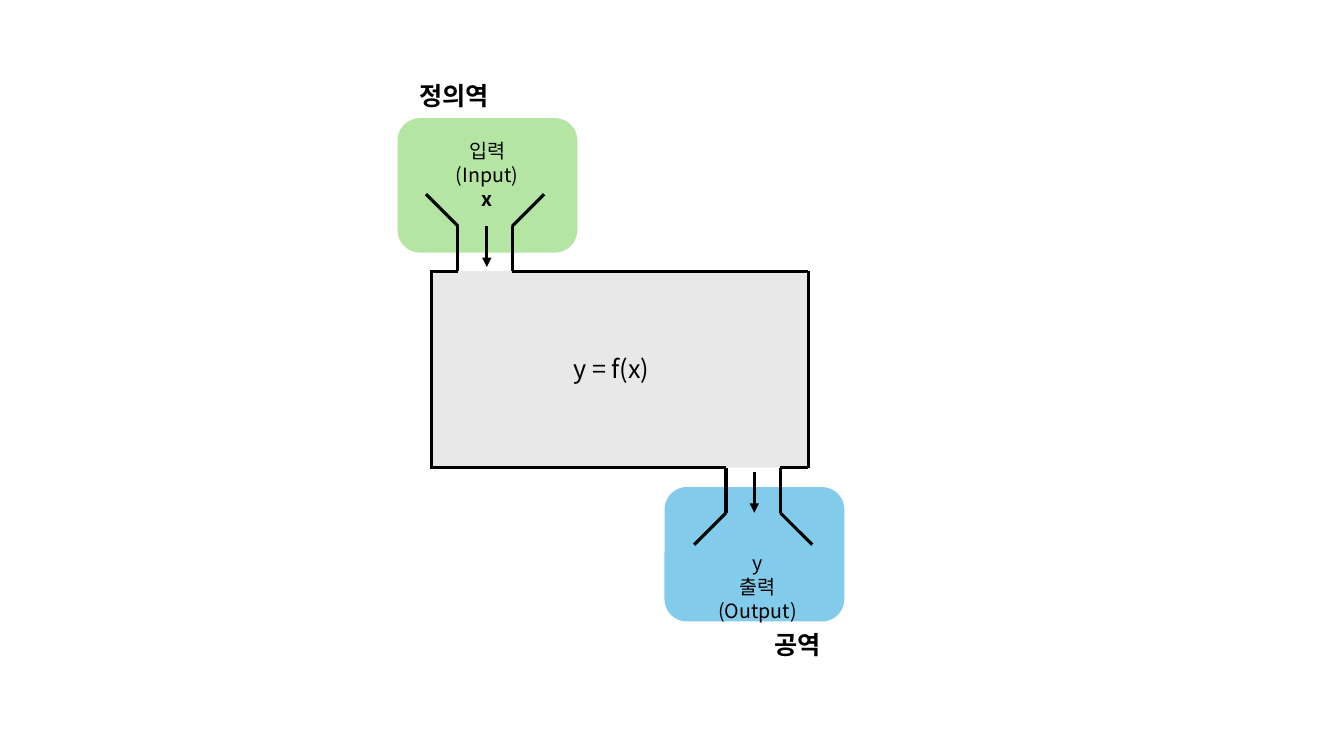
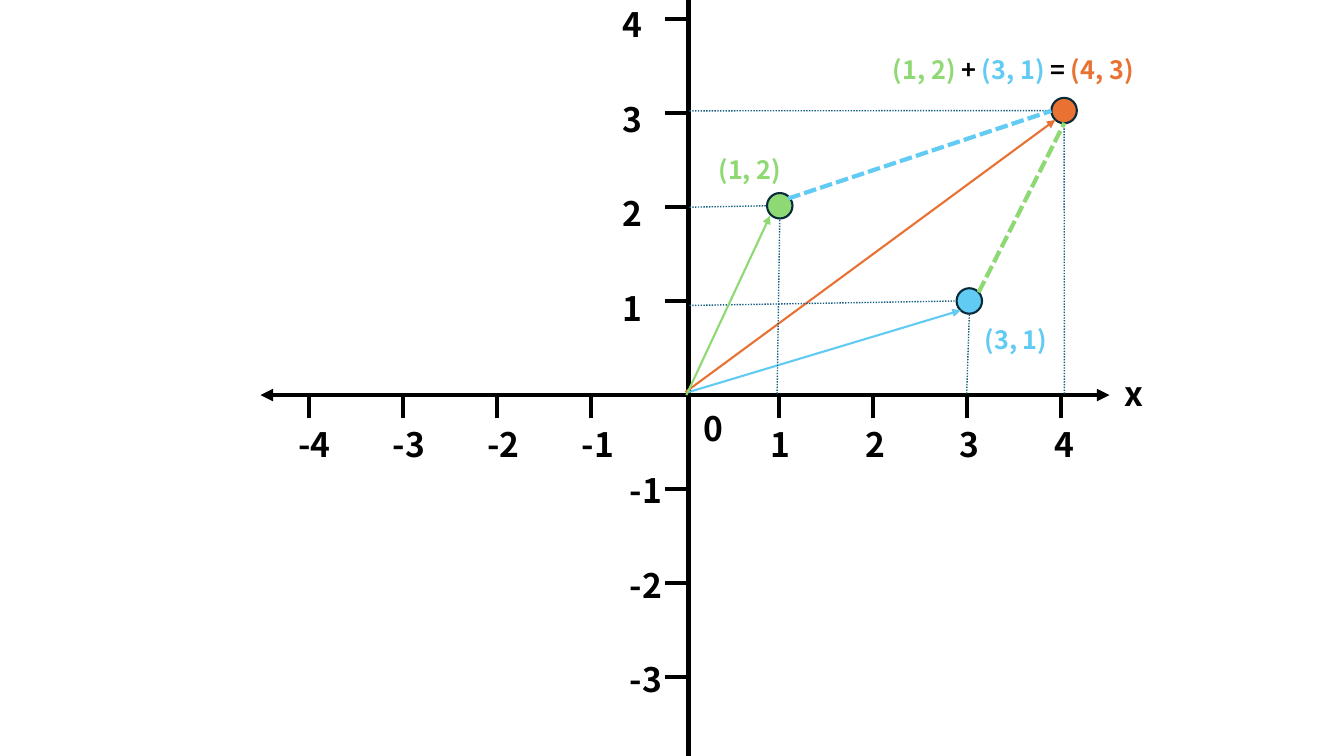
from pptx import Presentation
from pptx.dml.color import RGBColor
from pptx.enum.dml import MSO_LINE
from pptx.enum.shapes import MSO_CONNECTOR, MSO_SHAPE
from pptx.enum.text import MSO_AUTO_SIZE, PP_ALIGN
from pptx.oxml.ns import qn
from pptx.util import Pt
from lxml import etree

LEFT, MID = PP_ALIGN.LEFT, PP_ALIGN.CENTER
RECT, ROUND, OVAL = MSO_SHAPE.RECTANGLE, MSO_SHAPE.ROUNDED_RECTANGLE, MSO_SHAPE.OVAL
DOT, DASH = MSO_LINE.ROUND_DOT, MSO_LINE.SQUARE_DOT
STRAIGHT = MSO_CONNECTOR.STRAIGHT

FONT = "Noto Sans CJK KR"
LEAD = 1.22  # line height per point of text size
INK = {
    "black": "000000", "gray": "E8E8E8", "mint": "B4E5A2", "sky": "83CBEB",
    "green": "8ED973", "blue": "61CBF4", "orange": "E97132",
    "rim": "092A39", "guide": "156082",
}
WIDE, HIGH = 960, 540


def tint(name):
    return RGBColor.from_string(INK[name])


def line(slide, start, end, color="black", width=2.25, dash=None, arrow=False):
    item = slide.shapes.add_connector(STRAIGHT, *map(Pt, start + end))
    item.line.color.rgb = tint(color)
    item.line.width = Pt(width)
    if dash is not None:
        item.line.dash_style = dash
    props = item._element.spPr
    if arrow:
        etree.SubElement(props.find(qn("a:ln")), qn("a:tailEnd"), type="triangle")
    etree.SubElement(props, qn("a:effectLst"))


def shape(slide, kind, box, fill, rim=None):
    item = slide.shapes.add_shape(kind, *map(Pt, box))
    item.shadow.inherit = False
    item.fill.solid()
    item.fill.fore_color.rgb = tint(fill)
    if rim:
        item.line.color.rgb = tint(rim)
        item.line.width = Pt(1.5)
    else:
        item.line.fill.background()


def text(slide, box, runs, size, align=LEFT, inset=None):
    """Each run is (text, colour, bold); an inset turns wrapping on."""
    item = slide.shapes.add_textbox(*map(Pt, box))
    frame = item.text_frame
    frame.word_wrap = inset is not None
    frame.auto_size = MSO_AUTO_SIZE.SHAPE_TO_FIT_TEXT
    if inset is not None:
        frame.margin_left = frame.margin_right = Pt(inset)
    para = frame.paragraphs[0]
    para.alignment = align
    para.line_spacing = Pt(round(size * LEAD, 1))
    for words, color, bold in runs:
        for i, part in enumerate(words.split("\n")):
            if i:
                para.add_line_break()
            if not part:
                continue
            run = para.add_run()
            run.text = part
            run.font.size = Pt(size)
            run.font.bold = bold
            run.font.name = FONT
            run.font.color.rgb = tint(color)
            etree.SubElement(run.font._element, qn("a:ea"), typeface=FONT)


# Function machine
NECK, DEPTH, FLARE = 19.4, 32.2, 22.8


def funnel(slide, x, y, way):
    """Open a spout at x on the edge y; way is -1 for up and 1 for down."""
    lip = y + way * DEPTH
    for side in (-1, 1):
        neck = x + side * NECK
        line(slide, (neck, y), (neck, lip))
        line(slide, (neck, lip), (neck + side * FLARE, lip + way * FLARE))


def machine(slide, box):
    x, y, w, h = box
    end, base = x + w, y + h
    gate, exit = x + 39.5, x + 231
    shape(slide, ROUND, (x + 167.7, base + 13.8, 128.4, 96), "sky")
    shape(slide, RECT, box, "gray")
    shape(slide, ROUND, (x - 23, y - 109.3, 128.4, 96), "mint")
    # Walls with a gap at each spout
    for side in (x + 1.2, end):
        line(slide, (side, y), (side, base))
    for hole, edge, way in ((gate, y, -1), (exit, base, 1)):
        line(slide, (x, edge), (hole - NECK, edge))
        line(slide, (hole + NECK, edge), (end, edge))
        funnel(slide, hole, edge, way)
    # Flow arrows
    line(slide, (gate + 1.2, y - DEPTH), (gate + 1.2, y - 3), arrow=True)
    line(slide, (exit + 0.8, base + 3), (exit + 0.8, base + DEPTH), arrow=True)
    # Labels
    text(slide, (x - 1.5, y - 98, 85, 41),
         [("입력(Input)\n", "black", False), ("x", "black", True)], 14, MID, 14)
    text(slide, (x + 185.5, base + 55.4, 97.2, 41),
         [("y\n출력(Output)", "black", False)], 14, MID, 14)
    text(slide, (x + 95.5, y + 54.7, 74.2, 28.8), [("y = f(x)", "black", False)], 18)
    text(slide, (x - 14.7, y - 140.4, 69.1, 28.8), [("정의역", "black", True)], 18)
    text(slide, (x + 238.8, base + 111.6, 51.1, 28.8), [("공역", "black", True)], 18)


# Coordinate plane
STEP, GAP, TICK = 67.1, 67.5, 16.6


def label(slide, x, y, words):
    text(slide, (x, y, 28.8 if len(words) == 1 else 38.9, 36),
         [(words, "black", True)], 24)


def axes(slide, x, y):
    """Draw both axes around the origin at (x, y)."""
    stem = x + 2.5
    for reach in (303.2, -303.2):
        line(slide, (x, y), (x + reach, y), width=3, arrow=True)
    line(slide, (stem, 0), (stem, HIGH), width=3)
    label(slide, x + 307, y - 20.2, "x")
    label(slide, x + 6, y + 5, "0")
    for n in (-4, -3, -2, -1, 1, 2, 3, 4):
        spot = x + n * STEP
        line(slide, (spot, y + TICK), (spot, y), width=3)
        label(slide, x - 13.3 + n * GAP, y + TICK, str(n))
        if n == -4:  # below the slide
            continue
        spot = y - n * STEP
        line(slide, (stem - TICK, spot), (stem, spot), width=3)
        left, top = (-51.5, -13.2) if n > 0 else (-46.5, -17.8)
        label(slide, x + left, y + top - n * GAP, str(n))


def vectors(slide, x, y):
    """Draw the sum of two vectors from the origin at (x, y)."""
    # Point, colour, guide feet on the axes, arrow start and tip
    rows = [
        (4, 3, "orange", (271, -203), (0.3, -2.1), (264.5, -196.5)),
        (3, 1, "blue", (201.2, -64), (2.5, -2.1), (196.9, -60.5)),
        (1, 2, "green", (65.8, -134.2), (1, 0), (60.8, -128.1)),
    ]
    rad = 9.1
    for a, b, color, foot, start, tip in rows:
        cx, cy = x + 67.7 * a, y + 0.8 - 68 * b
        line(slide, (x + 3.2, y + foot[1]), (cx - rad, cy), "guide", 1, DOT)
        line(slide, (x + foot[0], y - 1), (cx, cy + rad), "guide", 1, DOT)
        shape(slide, OVAL, (cx - rad, cy - rad, 2 * rad, 2 * rad), color, "rim")
        line(slide, (x + start[0], y + start[1]), (x + tip[0], y + tip[1]),
             color, 1.5, arrow=True)
    # Parallelogram sides
    line(slide, (x + 73.7, y - 140.4), (x + 261.7, y - 203), "blue", 3, DASH)
    line(slide, (x + 209.8, y - 73.4), (x + 271, y - 194.4), "green", 3, DASH)
    # Point labels and the sum
    text(slide, (x + 16.9, y - 175.6, 59.8, 28.8), [("(1, 2)", "green", True)], 18)
    text(slide, (x + 207, y - 54.7, 59.8, 28.8), [("(3, 1)", "blue", True)], 18)
    text(slide, (x + 141.4, y - 247.6, 202.3, 28.8),
         [("(1, 2) ", "green", True), ("+ ", "black", True),
          ("(3, 1) ", "blue", True), ("= ", "black", True),
          ("(4, 3)", "orange", True)], 18)


def main():
    deck = Presentation()
    deck.slide_width, deck.slide_height = Pt(WIDE), Pt(HIGH)
    blank = deck.slide_layouts[6]
    machine(deck.slides.add_slide(blank), (307, 193.7, 270.4, 140.4))
    plane = deck.slides.add_slide(blank)
    axes(plane, 489.3, 282.2)
    vectors(plane, 489.3, 282.2)
    deck.save("out.pptx")


if __name__ == "__main__":
    main()
